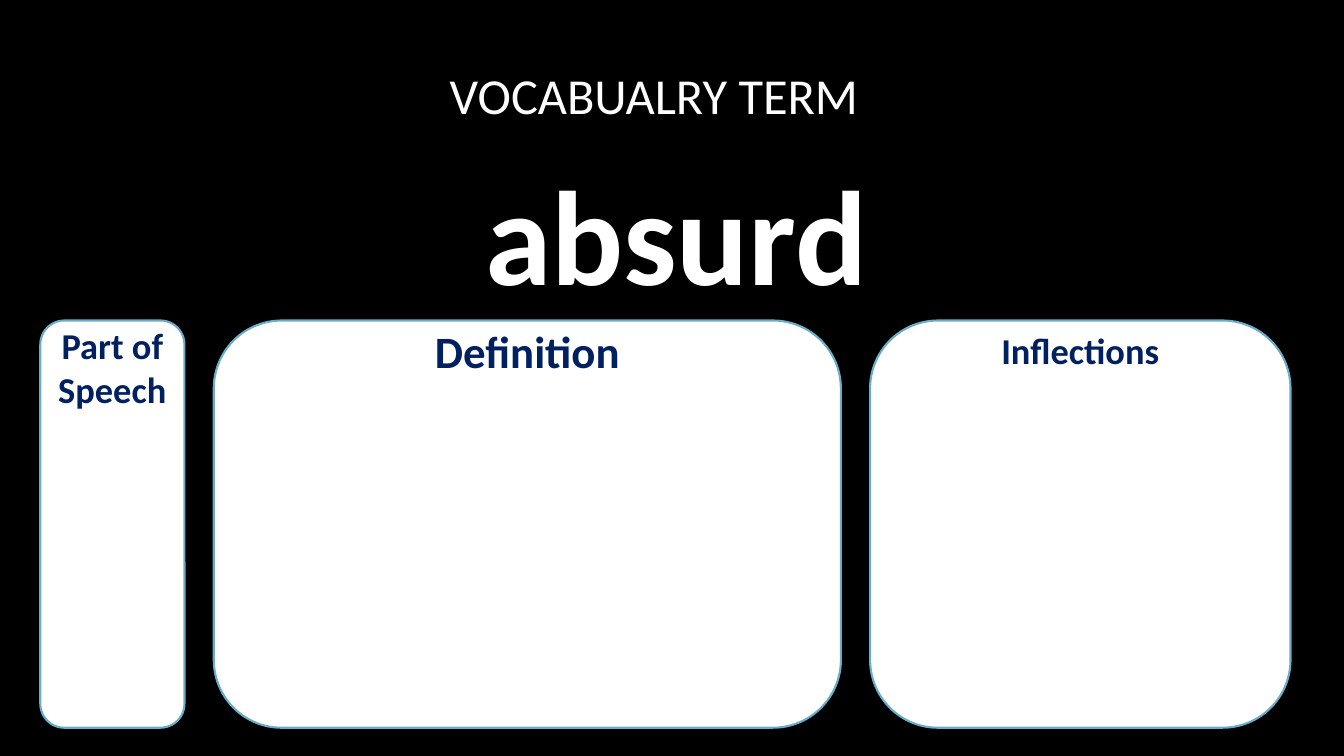
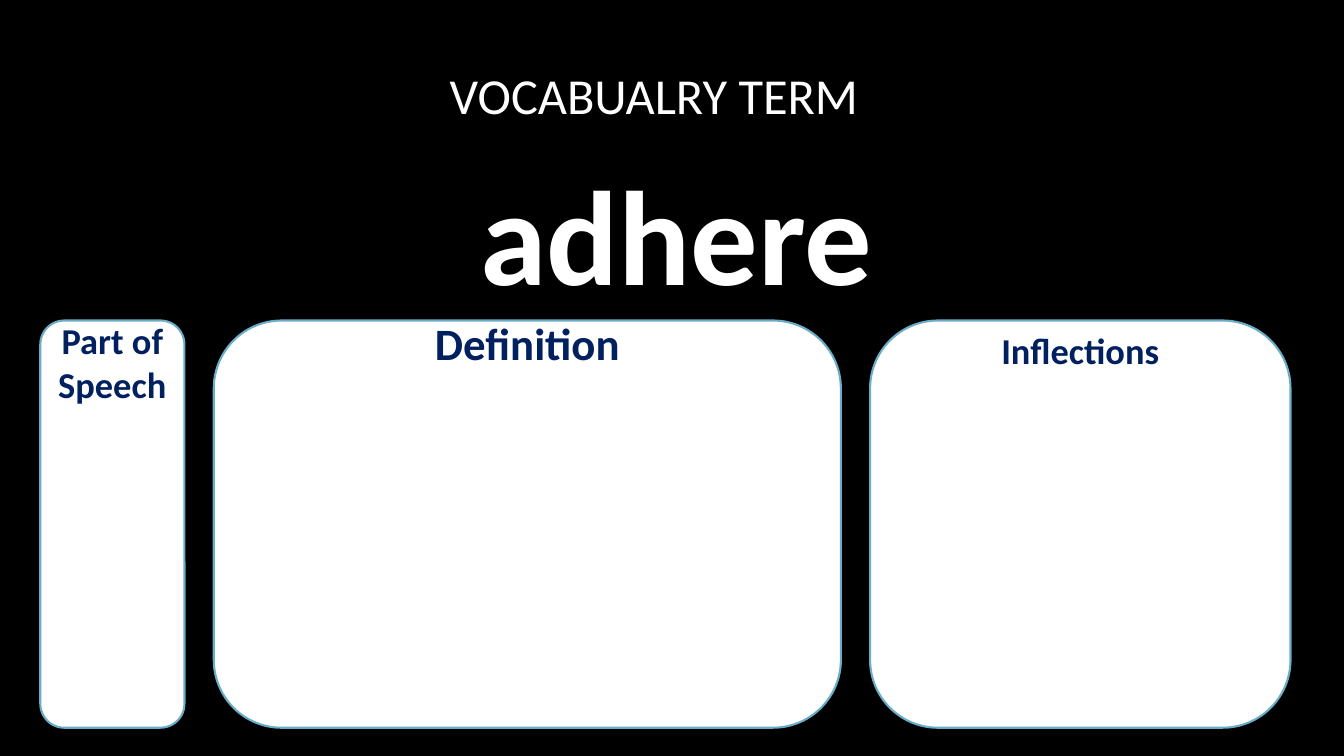
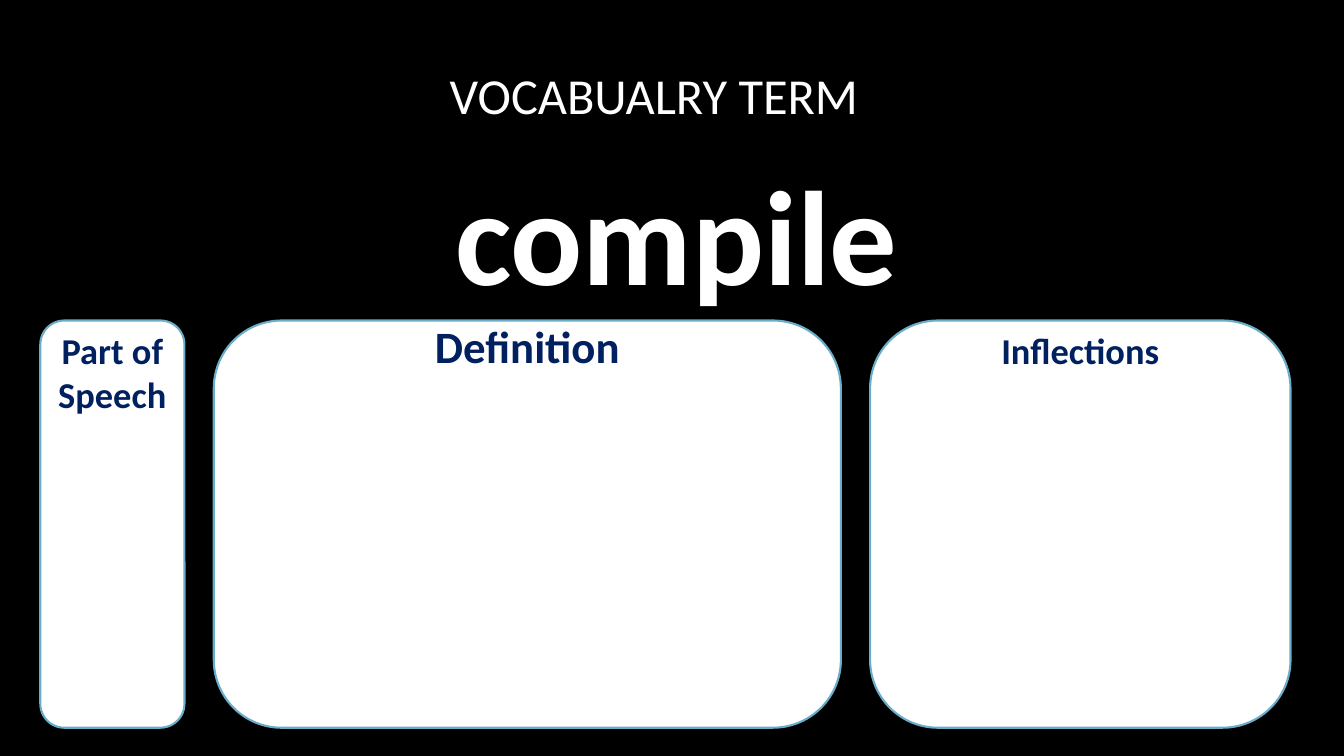
from dataclasses import dataclass

from pptx import Presentation
from pptx.dml.color import RGBColor
from pptx.enum import shapes, text
from pptx.util import Inches, Pt


@dataclass(frozen=True)
class Theme:
    font: str = "Calibri"
    background: RGBColor = RGBColor(0x00, 0x00, 0x00)
    light: RGBColor = RGBColor(0xFF, 0xFF, 0xFF)
    heading: RGBColor = RGBColor(0x00, 0x20, 0x60)
    border: RGBColor = RGBColor(0x6A, 0xAD, 0xC8)
    border_width: float = 1.5
    title_size: int = 36
    term_size: int = 96
    heading_size: int = 26
    definition_size: int = 32


THEME = Theme()
TITLE = "VOCABUALRY TERM\t"
TERMS = [
    ("absurd", (0.03, 0.03, 0.08)),
    ("adhere", (-0.02, -0.05, 0.08)),
    ("compile", (0.08, -0.02, 0.08)),
]
CARDS = [
    ("Part of Speech", 1.43, THEME.heading_size),
    ("Definition", 6.22, THEME.definition_size),
    ("Inflections", 4.17, THEME.heading_size),
]
BANNER_LEFT, BANNER_WIDTH = 1.17, 11.08
CARD_LEFT, CARD_TOP, CARD_HEIGHT, CARD_GAP = 0.4, 3.18, 4.04, 0.29
HEADING_HEIGHT = 1


def add_label(page, words, area, size, color, bold=True, centered=True):
    box = page.shapes.add_textbox(*map(Inches, area))
    frame = box.text_frame
    middle, top = text.MSO_ANCHOR.MIDDLE, text.MSO_ANCHOR.TOP
    layout = {
        "word_wrap": True,
        "vertical_anchor": middle if centered else top,
    }
    if not centered:
        layout.update(margin_top=0, margin_bottom=0)
    for name, value in layout.items():
        setattr(frame, name, value)
    para = frame.paragraphs[0]
    para.alignment = text.PP_ALIGN.CENTER
    span = para.add_run()
    span.text = words
    style = {"name": THEME.font, "size": Pt(size), "bold": bold}
    for name, value in style.items():
        setattr(span.font, name, value)
    span.font.color.rgb = color


def add_card(page, left, width):
    card = page.shapes.add_shape(
        shapes.MSO_SHAPE.ROUNDED_RECTANGLE,
        *map(Inches, (left, CARD_TOP, width, CARD_HEIGHT)),
    )
    card.shadow.inherit = False
    card.fill.solid()
    card.fill.fore_color.rgb = THEME.light
    card.line.color.rgb = THEME.border
    card.line.width = Pt(THEME.border_width)


def add_term_page(deck, term, heading_offsets):
    page = deck.slides.add_slide(deck.slide_layouts[6])
    add_label(page, TITLE, (BANNER_LEFT, 0.46, BANNER_WIDTH, 0.96),
              THEME.title_size, THEME.light, bold=False)
    add_label(page, term, (BANNER_LEFT, 1.42, BANNER_WIDTH, 1.76),
              THEME.term_size, THEME.light)
    left = CARD_LEFT
    for (heading, width, size), offset in zip(CARDS, heading_offsets):
        add_card(page, left, width)
        add_label(page, heading, (left, CARD_TOP + offset, width, HEADING_HEIGHT),
                  size, THEME.heading, centered=False)
        left += width + CARD_GAP


def main():
    deck = Presentation()
    deck.slide_width, deck.slide_height = Inches(13.33), Inches(7.5)
    background = deck.slide_master.background.fill
    background.solid()
    background.fore_color.rgb = THEME.background
    for term, heading_offsets in TERMS:
        add_term_page(deck, term, heading_offsets)
    deck.save("out.pptx")


if __name__ == "__main__":
    main()
